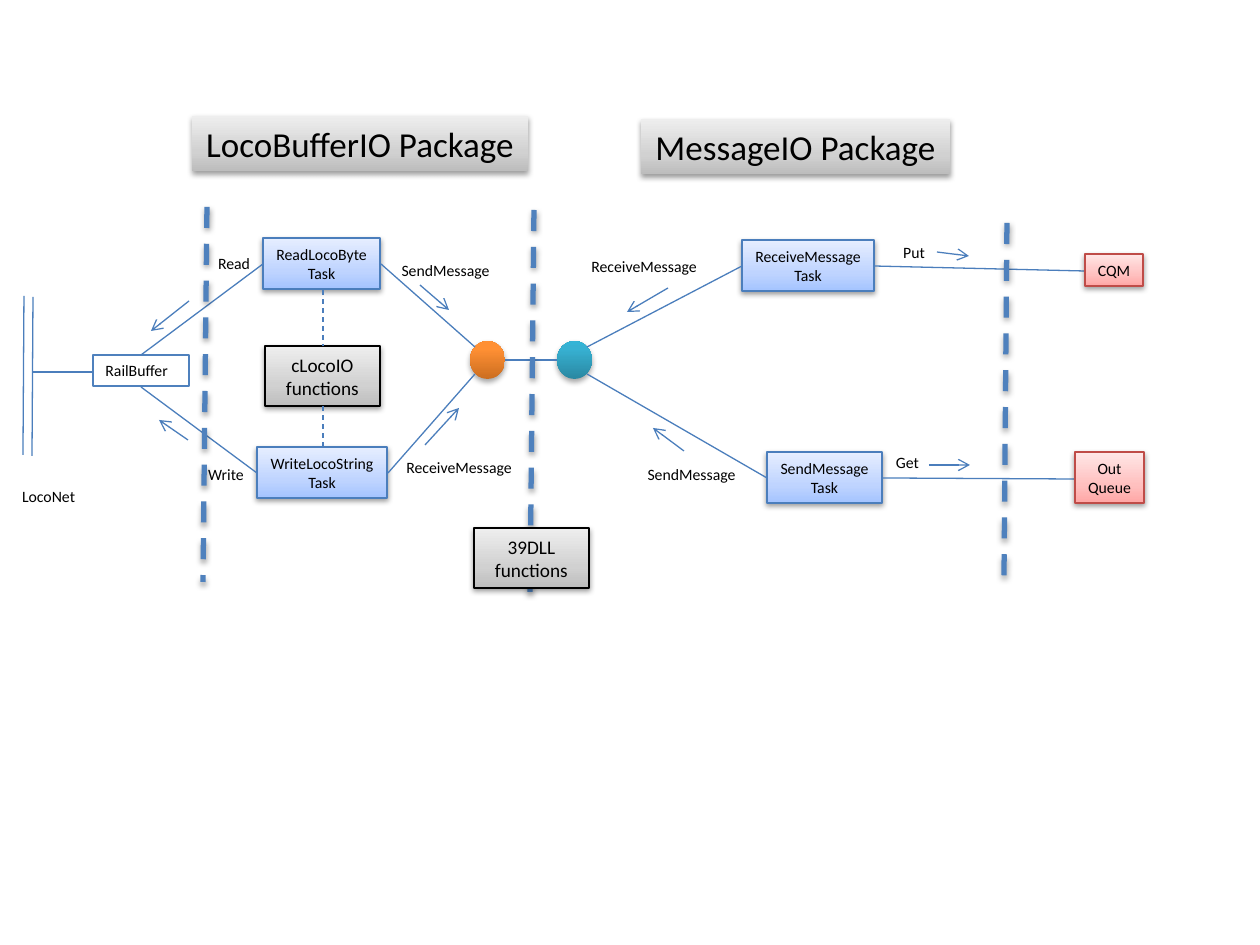
from dataclasses import dataclass

from lxml.etree import SubElement as Sub
from pptx import Presentation
from pptx.dml.color import RGBColor as RGB
from pptx.enum.dml import MSO_LINE as Dash
from pptx.enum.shapes import MSO_CONNECTOR as Conn, MSO_SHAPE as Kind
from pptx.enum.text import MSO_AUTO_SIZE as Auto, PP_ALIGN as Align
from pptx.oxml.ns import qn
from pptx.util import Pt

SCALE = 914400 / 126


@dataclass(frozen=True)
class Theme:
    font: str = "Calibri"
    ink: str = "000000"
    line: str = "4B7EBC"
    wall: str = "4F81BD"
    edge: str = "BF4C48"
    blue: tuple = ((0, "A4C4FF"), (35, "BFD4FF"), (100, "E6EEFF"))
    red: tuple = ((0, "FFA6A5"), (35, "FFC0BF"), (100, "FFE7E7"))
    gray: tuple = ((0, "BDBDBD"), (35, "D1D1D1"), (100, "EEEEEE"))
    teal: tuple = ((0, "2A88A2"), (80, "37B1D2"), (100, "34B4D6"))
    gold: tuple = ((0, "CC6E20"), (80, "FF9034"), (100, "FF9136"))
    small: int = 9
    mid: int = 11
    big: int = 20
    thin: float = 0.75
    thick: int = 3


T = Theme()


def emu(*px):
    return [round(n * SCALE) for n in px]


def shade(shape, alpha, dist):
    props = shape._element.spPr
    list_ = props.find(qn("a:effectLst"))
    if list_ is None:
        list_ = Sub(props, qn("a:effectLst"))
    if alpha:
        cast = Sub(list_, qn("a:outerShdw"), blurRad="40000", dist=str(dist),
                   dir="5400000", rotWithShape="0")
        tint = Sub(cast, qn("a:srgbClr"), val=T.ink)
        Sub(tint, qn("a:alpha"), val=str(alpha * 1000))


def blend(shape, stops):
    shape.fill.gradient()
    shape.fill.gradient_angle = 90
    list_ = shape._element.spPr.find(".//" + qn("a:gsLst"))
    list_.clear()
    for pos, color in stops:
        stop = Sub(list_, qn("a:gs"), pos=str(pos * 1000))
        Sub(stop, qn("a:srgbClr"), val=color)


def write(shape, text, size, align=Align.CENTER, wrap=False):
    frame = shape.text_frame
    frame.text = text
    frame.word_wrap = wrap
    frame.auto_size = Auto.SHAPE_TO_FIT_TEXT
    for para in frame.paragraphs:
        para.alignment = align
        para.font.name = T.font
        para.font.size = Pt(size)
        para.font.color.rgb = RGB.from_string(T.ink)


@dataclass
class Area:
    slide: object
    left: int
    top: int

    def shape(self, kind, box, fill, edge=None, alpha=38, dist=20000):
        x, y, w, h = box
        item = self.slide.shapes.add_shape(
            kind, *emu(self.left + x, self.top + y, w, h))
        item.shadow.inherit = False
        if fill:
            blend(item, fill)
            shade(item, alpha, dist)
        else:
            item.fill.background()
        if edge:
            item.line.color.rgb = RGB.from_string(edge)
            item.line.width = Pt(T.thin)
        else:
            item.line.fill.background()
        return item

    def task(self, text, box, fill=T.blue, edge=T.line):
        write(self.shape(Kind.RECTANGLE, box, fill, edge), text, T.small)

    def group(self, text, x, y):
        item = self.shape(Kind.RECTANGLE, (x, y, 115, 60), T.gray, T.ink)
        write(item, text, T.mid, wrap=True)

    def port(self, x, y, fill):
        self.shape(Kind.OVAL, (x, y, 35, 38), fill, alpha=35, dist=23000)

    def label(self, text, x, y, w):
        item = self.slide.shapes.add_textbox(
            *emu(self.left + x, self.top + y, w, 31))
        write(item, text, T.small)

    def line(self, ends, dash=False, arrow=False, wall=False):
        x, y, u, v = ends
        item = self.slide.shapes.add_connector(Conn.STRAIGHT, *emu(
            self.left + x, self.top + y, self.left + u, self.top + v))
        item.line.color.rgb = RGB.from_string(T.wall if wall else T.line)
        item.line.width = Pt(T.thick if wall else T.thin)
        if dash or wall:
            item.line.dash_style = Dash.DASH
        if arrow:
            Sub(item.line._get_or_add_ln(), qn("a:tailEnd"), type="arrow")
        shade(item, 35 if wall else 0, 23000)

    def lines(self, rows, **kind):
        for ends in rows:
            self.line(ends, **kind)

    def labels(self, rows):
        for row in rows:
            self.label(*row)


def titles(area):
    for text, box in (("LocoBufferIO Package", (0, 0, 336, 55)),
                      ("MessageIO Package", (449, 3, 309, 55))):
        write(area.shape(Kind.RECTANGLE, box, T.gray), text, T.big)


def net(area):
    area.lines([(24, 16, 23, 175), (33, 17, 32, 176), (93, 92, 33, 92)])
    item = area.shape(Kind.RECTANGLE, (93, 75, 96, 31), None, T.wall)
    write(item, "RailBuffer", T.small, Align.LEFT)
    area.label("LocoNet", 9, 201, 79)


def loco(area):
    area.task("ReadLocoByte\vTask", (123, 38, 117, 51))
    area.task("WriteLocoString\vTask", (117, 247, 130, 51))
    area.port(330, 141, T.gold)
    area.lines([(1, 155, 123, 64), (1, 187, 117, 273),
                (241, 64, 335, 147), (248, 273, 335, 174)])
    area.labels([("Read", 65, 48, 58), ("Write", 55, 259, 62),
                 ("SendMessage", 248, 55, 115),
                 ("ReceiveMessage", 253, 252, 132)])
    area.lines([(285, 245, 319, 208), (48, 240, 19, 220),
                (49, 101, 11, 131), (280, 85, 309, 110)], arrow=True)
    area.group("cLocoIO\nfunctions", 125, 146)
    area.lines([(183, 90, 183, 146), (183, 247, 183, 206)], dash=True)


def message(area):
    area.port(57, 141, T.teal)
    area.task("ReceiveMessage\vTask", (242, 40, 132, 51))
    area.task("SendMessage\vTask", (267, 252, 115, 51))
    area.lines([(5, 160, 57, 160), (87, 147, 242, 66), (87, 174, 267, 278),
                (374, 66, 585, 71), (382, 278, 575, 279)])
    area.labels([("ReceiveMessage", 78, 51, 132),
                 ("SendMessage", 134, 259, 115),
                 ("Put", 390, 37, 48), ("Get", 383, 247, 49)])
    area.lines([(184, 251, 153, 228), (168, 88, 127, 112),
                (437, 52, 469, 56), (429, 265, 470, 265)], arrow=True)
    area.task("Out\vQueue", (575, 252, 69, 51), T.red, T.edge)
    area.task("CQM", (585, 54, 58, 32), T.red, T.edge)


def walls(area):
    area.lines([(334, 10, 330, 392), (7, 7, 3, 382), (807, 23, 804, 378)],
               wall=True)
    area.group("39DLL\nfunctions", 274, 328)


def main():
    deck = Presentation()
    deck.slide_width, deck.slide_height = emu(1260, 945)
    slide = deck.slides.add_slide(deck.slide_layouts[6])
    for build, left, top in ((net, 0, 280), (loco, 140, 200),
                             (message, 500, 200), (titles, 192, 116),
                             (walls, 200, 200)):
        build(Area(slide, left, top))
    deck.save("out.pptx")


if __name__ == "__main__":
    main()
